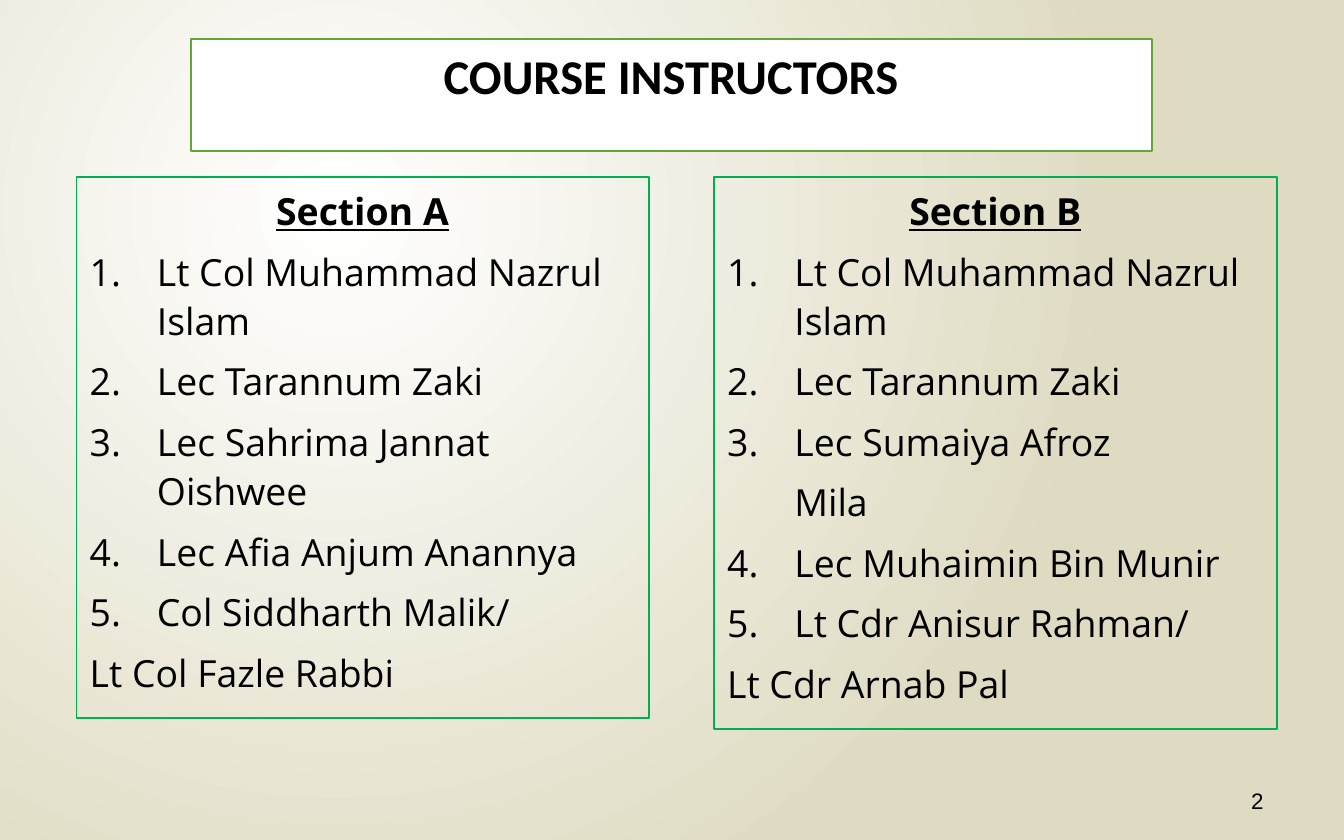
from pptx import Presentation
from pptx.dml.color import RGBColor
from pptx.enum.shapes import MSO_SHAPE
from pptx.enum.text import MSO_ANCHOR, MSO_AUTO_SIZE, PP_ALIGN
from pptx.oxml import parse_xml
from pptx.oxml.ns import nsdecls
from pptx.util import Pt

RECT = MSO_SHAPE.RECTANGLE
TOP, MIDDLE = MSO_ANCHOR.TOP, MSO_ANCHOR.MIDDLE
FIT, NO_FIT = MSO_AUTO_SIZE.SHAPE_TO_FIT_TEXT, MSO_AUTO_SIZE.NONE
LEFT, CENTER, RIGHT = PP_ALIGN.LEFT, PP_ALIGN.CENTER, PP_ALIGN.RIGHT

BLACK, WHITE, BEIGE = "000000", "FFFFFF", "DFDBC2"
TITLE_LINE, BOX_LINE = "63A537", "00B050"
HANGING = 36

# Each row is its text, the first number of its list (0: no number), its indent.
SECTION_A = [
    ("Lt Col Muhammad Nazrul Islam", 1, HANGING),
    ("Lec Tarannum Zaki", 1, HANGING),
    ("Lec Sahrima Jannat Oishwee", 1, HANGING),
    ("Lec Afia Anjum Anannya", 1, HANGING),
    ("Col Siddharth Malik/", 1, HANGING),
    ("Lt Col Fazle Rabbi", 0, 0),
]
SECTION_B = [
    ("Lt Col Muhammad Nazrul Islam", 1, HANGING),
    ("Lec Tarannum Zaki", 1, HANGING),
    ("Lec Sumaiya Afroz", 1, HANGING),
    ("Mila", 0, HANGING),
    ("Lec Muhaimin Bin Munir", 4, HANGING),
    ("Lt Cdr Anisur Rahman/", 4, HANGING),
    ("Lt Cdr Arnab Pal", 0, 0),
]


def rgb(color):
    return RGBColor.from_string(color)


def set_all(target, values):
    for name, value in values.items():
        setattr(target, name, value)


class Deck:
    heading = dict(name="Calibri", size=Pt(26), bold=True)
    body = dict(name="Open Sans", size=Pt(20), bold=False)
    section = dict(body, bold=True, underline=True)
    small = dict(name="Arial", size=Pt(12), bold=False)
    spacing = dict(line_spacing=1.1, space_before=Pt(6))

    def __init__(self, width, height):
        self.prs = Presentation()
        self.prs.slide_width, self.prs.slide_height = Pt(width), Pt(height)
        self.s = self.prs.slides.add_slide(self.prs.slide_layouts[5])

    def background(self, inner, outer):
        """Radial gradient centred in the upper left quarter."""
        fill = self.s.background.fill
        fill.gradient()
        for stop, color, position in zip(fill.gradient_stops, (inner, outer), (0, 1)):
            stop.color.rgb = rgb(color)
            stop.position = position
        lin = self.s.element.xpath(".//p:bg//a:lin")[0]
        lin.getparent().replace(lin, parse_xml(
            f'<a:path {nsdecls("a")} path="circle">'
            '<a:fillToRect l="50000" t="50000" r="100000" b="100000"/></a:path>'))

    def frame(self, sp, anchor, auto_size):
        set_all(sp.text_frame, dict(word_wrap=True, vertical_anchor=anchor,
                                    auto_size=auto_size))
        return sp.text_frame

    def add_text(self, p, text, font, align=LEFT):
        p.alignment = align
        r = p.add_run()
        r.text = text
        set_all(r.font, font)
        r.font.color.rgb = rgb(BLACK)

    def number(self, p, start):
        pPr = p._p.get_or_add_pPr()
        pPr.append(parse_xml(f'<a:buClr {nsdecls("a")}><a:srgbClr val="{BLACK}"/></a:buClr>'))
        pPr.append(parse_xml(
            f'<a:buAutoNum {nsdecls("a")} type="arabicPeriod" startAt="{start}"/>'))

    def title(self, text, x, y, w, h):
        sp = self.s.shapes.title
        set_all(sp, dict(left=Pt(x), top=Pt(y), width=Pt(w), height=Pt(h)))
        sp.fill.solid()
        sp.fill.fore_color.rgb = rgb(WHITE)
        sp.line.color.rgb = rgb(TITLE_LINE)
        sp.line.width = Pt(1.25)
        tf = self.frame(sp, TOP, FIT)
        self.add_text(tf.paragraphs[0], text, self.heading, CENTER)

    def section_box(self, heading, rows, x, y, w, h):
        sp = self.s.shapes.add_shape(RECT, Pt(x), Pt(y), Pt(w), Pt(h))
        sp.shadow.inherit = False
        sp.fill.background()
        sp.line.color.rgb = rgb(BOX_LINE)
        sp.line.width = Pt(1)
        tf = self.frame(sp, TOP, FIT)
        p = tf.paragraphs[0]
        set_all(p, self.spacing)
        self.add_text(p, heading, self.section, CENTER)
        for text, start, indent in rows:
            p = tf.add_paragraph()
            set_all(p, self.spacing)
            pPr = p._p.get_or_add_pPr()
            pPr.set("marL", str(Pt(indent)))
            pPr.set("indent", str(Pt(-indent if start else 0)))
            if start:
                self.number(p, start)
            self.add_text(p, text, self.body)

    def page_number(self, text, x, y, w, h):
        sp = self.s.shapes.add_textbox(Pt(x), Pt(y), Pt(w), Pt(h))
        tf = self.frame(sp, MIDDLE, NO_FIT)
        self.add_text(tf.paragraphs[0], text, self.small, RIGHT)


def main():
    deck = Deck(720, 450)
    deck.background(WHITE, BEIGE)
    deck.title("COURSE INSTRUCTORS", 102.2, 20.9, 515, 38.9)
    deck.section_box("Section A", SECTION_A, 41, 95, 306.5, 289.5)
    deck.section_box("Section B", SECTION_B, 382.5, 95, 301.5, 295.7)
    deck.page_number("2", 516, 417, 168, 24)
    deck.prs.save("out.pptx")


if __name__ == "__main__":
    main()
